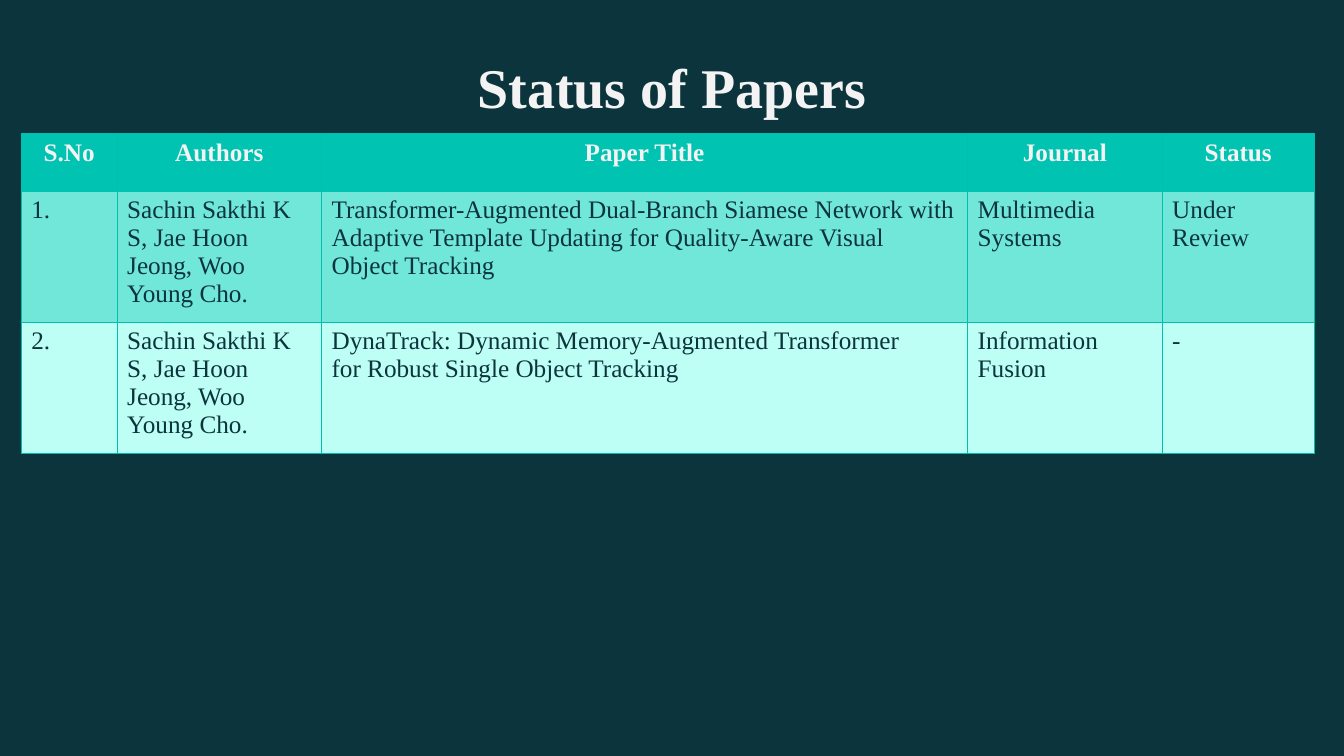
import pptx
import pptx.dml.color
import pptx.enum.text
import pptx.oxml
import pptx.oxml.ns
import pptx.util

Pt = pptx.util.Pt
CENTER = pptx.enum.text.PP_ALIGN.CENTER
LEFT = pptx.enum.text.PP_ALIGN.LEFT


def color(value):
    return pptx.dml.color.RGBColor.from_string(value)


def write(frame, text, size=18, ink="0C343D", bold=False, align=LEFT,
          font="Times New Roman"):
    frame.word_wrap = True
    frame.text = text
    for paragraph in frame.paragraphs:
        paragraph.alignment = align
        paragraph.font.name = font
        paragraph.font.size = Pt(size)
        paragraph.font.bold = bold
        paragraph.font.color.rgb = color(ink)


class PaperSlide:
    backdrop = "0C343D"
    light = "F3F3F3"
    header_fill = "00C3B1"
    row_fills = ("71E7DA", "BDFFF5")
    grid = "00BFAD"

    def __init__(self, presentation):
        self.slide = presentation.slides.add_slide(presentation.slide_layouts[6])
        fill = self.slide.background.fill
        fill.solid()
        fill.fore_color.rgb = color(self.backdrop)

    def heading(self, text, left, top, width, height):
        box = self.slide.shapes.add_textbox(Pt(left), Pt(top), Pt(width), Pt(height))
        frame = box.text_frame
        frame.margin_left = frame.margin_right = frame.margin_bottom = Pt(9)
        frame.margin_top = Pt(14.5)
        write(frame, text, size=40, ink=self.light, bold=True, align=CENTER)

    def border(self, cell, side, ink, width):
        namespace = pptx.oxml.ns.nsdecls("a")
        line = pptx.oxml.parse_xml(
            f'<a:{side} {namespace} w="{Pt(width)}"><a:solidFill>'
            f'<a:srgbClr val="{ink}"/></a:solidFill></a:{side}>')
        cell._tc.get_or_add_tcPr().append(line)

    def cell(self, cell, text, row):
        header = row == 0
        for side in ("lnL", "lnR", "lnT", "lnB"):
            under_header = (header and side == "lnB") or (row == 1 and side == "lnT")
            if under_header:
                self.border(cell, side, self.header_fill, 2)
            else:
                self.border(cell, side, self.grid, 0.75)
        cell.fill.solid()
        fill = self.header_fill if header else self.row_fills[(row - 1) % 2]
        cell.fill.fore_color.rgb = color(fill)
        write(cell.text_frame, text, ink=self.light if header else self.backdrop,
              bold=header, align=CENTER if header else LEFT)

    def table(self, rows, left, top, widths, heights):
        table = self.slide.shapes.add_table(
            len(rows), len(widths), Pt(left), Pt(top),
            Pt(sum(widths)), Pt(sum(heights))).table
        table.first_row = True
        table.horz_banding = False
        for column, width in zip(table.columns, widths):
            column.width = Pt(width)
        for row, height in zip(table.rows, heights):
            row.height = Pt(height)
        for number, texts in enumerate(rows):
            for position, text in enumerate(texts):
                self.cell(table.cell(number, position), text, number)


def main():
    presentation = pptx.Presentation()
    presentation.slide_width = Pt(960)
    presentation.slide_height = Pt(540)
    authors = "Sachin Sakthi K S, Jae Hoon Jeong, Woo Young Cho."
    papers = [
        ("S.No", "Authors", "Paper Title", "Journal", "Status"),
        ("1.", authors,
         "Transformer-Augmented Dual-Branch Siamese Network with Adaptive "
         "Template Updating for Quality-Aware Visual Object Tracking",
         "Multimedia Systems", "Under Review"),
        ("2.", authors,
         "DynaTrack: Dynamic Memory-Augmented Transformer\n"
         "for Robust Single Object Tracking",
         "Information Fusion", "-"),
    ]
    status = PaperSlide(presentation)
    status.heading("Status of Papers", 75.5, 23, 808.5, 60.5)
    status.table(papers, 15.2, 95.5, (68.5, 146, 461.5, 139, 108.7),
                 (41, 86.5, 86.5))
    presentation.save("out.pptx")


if __name__ == "__main__":
    main()
